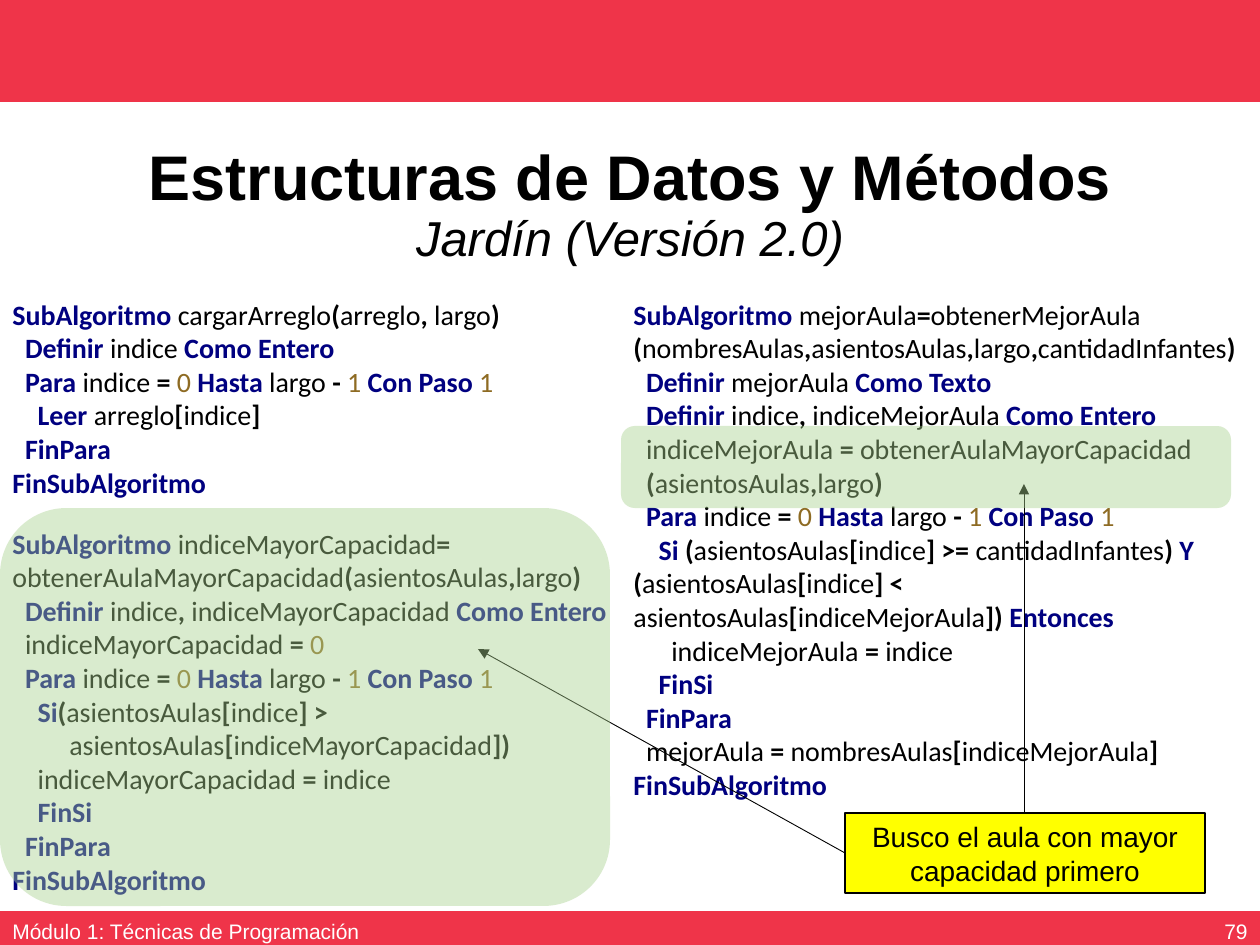
"""Build the slide on data structures and methods with its highlighted pseudocode."""
from itertools import groupby

from lxml.etree import SubElement
from pptx import Presentation
from pptx.dml.color import RGBColor
from pptx.enum.shapes import MSO_CONNECTOR as Connector, MSO_SHAPE as Shape
from pptx.enum.text import MSO_ANCHOR as Anchor, PP_ALIGN as Align
from pptx.oxml.ns import qn
from pptx.util import Emu, Pt

PX = 914400 / 126
COLORS = {
    "band": "EF3449", "white": "FFFFFF", "text": "000000", "keyword": "000080",
    "number": "8E6B23", "note": "FFFF00", "highlight": "A9D18E",
}
KEYWORDS = set(
    "SubAlgoritmo FinSubAlgoritmo Definir Como Entero Texto Para Hasta Con Paso "
    "Leer FinPara Si FinSi Y Entonces".split()
)
BANDS = [(0, 0, 1260, 102), (0, 911, 1260, 34)]
TITLE_BOX = (87, 123, 1086, 168)
TITLE = [("Estructuras de Datos y Métodos", 36, True, False),
         ("Jardín (Versión 2.0)", 28, False, True)]
FOOTERS = [
    ("Módulo 1: Técnicas de Programación", (0, 906, 426, 50), Align.LEFT),
    ("79", (976, 906, 284, 50), Align.RIGHT),
]
LISTINGS = [
    ((0, 291, 621, 217), [
        "SubAlgoritmo cargarArreglo(arreglo, largo)",
        "  Definir indice Como Entero",
        "  Para indice = 0 Hasta largo - 1 Con Paso 1",
        "    Leer arreglo[indice]",
        "  FinPara",
        "FinSubAlgoritmo",
    ]),
    ((621, 291, 639, 522), [
        "SubAlgoritmo mejorAula=obtenerMejorAula",
        "(nombresAulas,asientosAulas,largo,cantidadInfantes)",
        "  Definir mejorAula Como Texto",
        "  Definir indice, indiceMejorAula Como Entero",
        "  indiceMejorAula = obtenerAulaMayorCapacidad",
        "  (asientosAulas,largo)",
        "  Para indice = 0 Hasta largo - 1 Con Paso 1",
        "    Si (asientosAulas[indice] >= cantidadInfantes) Y",
        "(asientosAulas[indice] < asientosAulas[indiceMejorAula]) Entonces",
        "      indiceMejorAula = indice",
        "    FinSi",
        "  FinPara",
        "  mejorAula = nombresAulas[indiceMejorAula] FinSubAlgoritmo",
    ]),
    ((0, 520, 621, 386), [
        "SubAlgoritmo indiceMayorCapacidad= obtenerAulaMayorCapacidad(asientosAulas,largo)",
        "  Definir indice, indiceMayorCapacidad Como Entero",
        "  indiceMayorCapacidad = 0",
        "  Para indice = 0 Hasta largo - 1 Con Paso 1",
        "    Si(asientosAulas[indice] >",
        "         asientosAulas[indiceMayorCapacidad])",
        "    indiceMayorCapacidad = indice",
        "    FinSi",
        "  FinPara",
        "FinSubAlgoritmo",
    ]),
]
NOTE = ("Busco el aula con mayor capacidad primero", (845, 813, 360, 80))
ARROWS = [(1024, 813, 1024, 484), (845, 853, 478, 649)]
HIGHLIGHTS = [(0, 508, 610, 398), (621, 426, 610, 82)]


def px(*values):
    return [Emu(round(value * PX)) for value in values]


def rgb(name):
    return RGBColor.from_string(COLORS[name])


def style(run, size, color="text", bold=False, italic=False, name="Arial"):
    font = run.font
    font.name, font.size, font.bold, font.italic = name, Pt(size), bold, italic
    font.color.rgb = rgb(color)


def add_text_box(slide, box, anchor=Anchor.MIDDLE):
    frame = slide.shapes.add_textbox(*px(*box)).text_frame
    frame.word_wrap = True
    frame.vertical_anchor = anchor
    return frame


def add_filled(slide, kind, box, color):
    shape = slide.shapes.add_shape(kind, *px(*box))
    shape.shadow.inherit = False
    shape.fill.solid()
    shape.fill.fore_color.rgb = rgb(color)
    shape.line.fill.background()
    return shape


def add_title(slide):
    paragraph = add_text_box(slide, TITLE_BOX).paragraphs[0]
    paragraph.text = "\v".join(line for line, *_ in TITLE)
    paragraph.alignment = Align.CENTER
    paragraph.line_spacing = 0.9
    for run, (_, size, bold, italic) in zip(paragraph.runs, TITLE):
        style(run, size, bold=bold, italic=italic)


def token_style(token):
    if token in KEYWORDS:
        return "keyword", True
    if token.isdigit():
        return "number", False
    return "text", not token.isalnum()


def add_listing(slide, box, lines):
    frame = add_text_box(slide, box, Anchor.TOP)
    for index, line in enumerate(lines):
        paragraph = frame.add_paragraph() if index else frame.paragraphs[0]
        tokens = ["".join(group) for _, group in groupby(line, str.isalnum)]
        for (color, bold), group in groupby(tokens, token_style):
            run = paragraph.add_run()
            run.text = "".join(group)
            style(run, 16, color, bold, name="Calibri")


def add_note(slide, text, box):
    shape = add_filled(slide, Shape.RECTANGLE, box, "note")
    shape.line.color.rgb = rgb("text")
    shape.line.width = Pt(0.75)
    frame = shape.text_frame
    frame.word_wrap = True
    frame.text = text
    frame.paragraphs[0].alignment = Align.CENTER
    style(frame.paragraphs[0].runs[0], 16)


def add_arrow(slide, ends):
    arrow = slide.shapes.add_connector(Connector.STRAIGHT, *px(*ends))
    arrow.line.color.rgb = rgb("text")
    arrow.line.width = Pt(0.5)
    properties = arrow.element.spPr
    SubElement(properties.find(qn("a:ln")), qn("a:tailEnd"), type="triangle")
    SubElement(properties, qn("a:effectLst"))


def add_highlight(slide, box):
    shape = add_filled(slide, Shape.ROUNDED_RECTANGLE, box, "highlight")
    color = shape.element.spPr.find(qn("a:solidFill")).find(qn("a:srgbClr"))
    SubElement(color, qn("a:alpha"), val="43000")


def main():
    presentation = Presentation()
    presentation.slide_width, presentation.slide_height = px(1260, 945)
    slide = presentation.slides.add_slide(presentation.slide_layouts[6])
    for box in BANDS:
        add_filled(slide, Shape.RECTANGLE, box, "band")
    add_title(slide)
    for text, box, alignment in FOOTERS:
        paragraph = add_text_box(slide, box).paragraphs[0]
        paragraph.text = text
        paragraph.alignment = alignment
        style(paragraph.runs[0], 12, "white")
    for box, lines in LISTINGS:
        add_listing(slide, box, lines)
    add_note(slide, *NOTE)
    for ends in ARROWS:
        add_arrow(slide, ends)
    for box in HIGHLIGHTS:
        add_highlight(slide, box)
    presentation.save("out.pptx")


if __name__ == "__main__":
    main()
